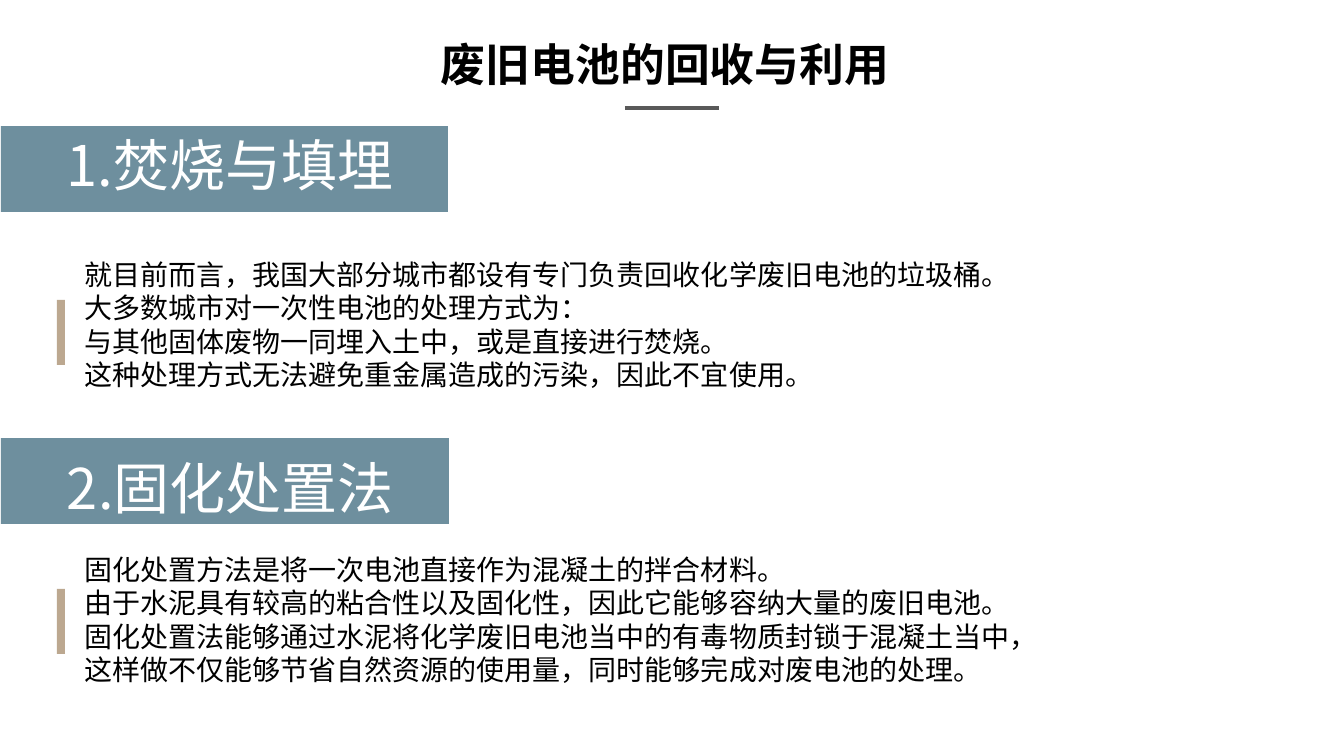
import pptx
import pptx.util
import pptx.dml.color
import pptx.enum.shapes
import pptx.enum.text
import pptx.oxml.ns
from dataclasses import dataclass
from lxml import etree

PX = 914400 / 100.8


@dataclass(frozen=True)
class Theme:
    band: str = "6E8F9E"
    bar: str = "BCA890"
    rule: str = "595959"
    ink: str = "000000"
    white: str = "FFFFFF"
    latin: str = "Arial"
    asian: str = "Noto Sans CJK SC"
    title: int = 32
    head: int = 40
    body: int = 20
    weight: float = 2.25


def px(*sizes):
    return [pptx.util.Emu(round(size * PX)) for size in sizes]


def tint(code):
    return pptx.dml.color.RGBColor.from_string(code)


def node(parent, tag):
    return etree.SubElement(parent, pptx.oxml.ns.qn(tag))


class Page:
    def __init__(self, slide, theme):
        self.slide = slide
        self.theme = theme

    def letter(self, shape, lines, size, color, font, bold=False, wrap=True, inset=(10, 5)):
        frame = shape.text_frame
        frame.word_wrap = wrap
        frame.auto_size = pptx.enum.text.MSO_AUTO_SIZE.SHAPE_TO_FIT_TEXT
        frame.vertical_anchor = pptx.enum.text.MSO_ANCHOR.TOP
        side, edge = px(*inset)
        frame.margin_left = frame.margin_right = side
        frame.margin_top = frame.margin_bottom = edge
        for index, line in enumerate(lines):
            para = frame.add_paragraph() if index else frame.paragraphs[0]
            props = para._p.get_or_add_pPr()
            props.set("marL", "0")
            props.set("indent", "0")
            node(props, "a:buNone")
            para.alignment = pptx.enum.text.PP_ALIGN.LEFT
            para.space_before = pptx.util.Pt(0)
            run = para.add_run()
            run.text = line
            run.font.size = pptx.util.Pt(size)
            run.font.bold = bold
            run.font.name = font
            run.font.color.rgb = tint(color)
            node(run._r.get_or_add_rPr(), "a:ea").set("typeface", self.theme.asian)

    def place(self, shape, box):
        shape.left, shape.top, shape.width, shape.height = px(*box)
        return shape

    def title(self, text, box):
        shape = self.place(self.slide.shapes.title, box)
        self.letter(shape, [text], self.theme.title, self.theme.ink,
                    self.theme.latin, bold=True, inset=(7, 4))

    def body(self, slot, lines, box):
        shape = self.place(self.slide.placeholders[slot], box)
        self.letter(shape, lines, self.theme.body, self.theme.ink,
                    self.theme.asian, wrap=False)

    def head(self, text, box):
        shape = self.slide.shapes.add_textbox(*px(*box))
        self.letter(shape, [text], self.theme.head, self.theme.white, self.theme.asian)

    def block(self, color, box):
        kind = pptx.enum.shapes.MSO_SHAPE.RECTANGLE
        shape = self.slide.shapes.add_shape(kind, *px(*box))
        shape.shadow.inherit = False
        shape.fill.solid()
        shape.fill.fore_color.rgb = tint(color)
        shape.line.fill.background()

    def rule(self, start, end):
        kind = pptx.enum.shapes.MSO_CONNECTOR.STRAIGHT
        line = self.slide.shapes.add_connector(kind, *px(*start, *end))
        line.line.color.rgb = tint(self.theme.rule)
        line.line.width = pptx.util.Pt(self.theme.weight)
        node(line._element.spPr, "a:effectLst")


PARTS = [
    dict(head="1.焚烧与填埋", band=(1, 126, 447, 86), label=(57, 125, 409, 78),
         bar=(57, 300, 8, 65), box=(74, 252, 954, 146), lines=[
             "就目前而言，我国大部分城市都设有专门负责回收化学废旧电池的垃圾桶。",
             "大多数城市对一次性电池的处理方式为：",
             "与其他固体废物一同埋入土中，或是直接进行焚烧。",
             "这种处理方式无法避免重金属造成的污染，因此不宜使用。"]),
    dict(head="2.固化处置法", band=(1, 438, 448, 86), label=(57, 448, 403, 78),
         bar=(57, 589, 8, 65), box=(74, 547, 982, 146), lines=[
             "固化处置方法是将一次电池直接作为混凝土的拌合材料。",
             "由于水泥具有较高的粘合性以及固化性，因此它能够容纳大量的废旧电池。",
             "固化处置法能够通过水泥将化学废旧电池当中的有毒物质封锁于混凝土当中，",
             "这样做不仅能够节省自然资源的使用量，同时能够完成对废电池的处理。"]),
]


def main():
    deck = pptx.Presentation()
    deck.slide_width, deck.slide_height = px(1344, 756)
    theme = Theme()
    page = Page(deck.slides.add_slide(deck.slide_layouts[3]), theme)
    page.title("废旧电池的回收与利用", (434, 33, 475, 61))
    page.rule((625, 108), (719, 108))
    for slot, part in enumerate(PARTS, 1):
        page.block(theme.band, part["band"])
        page.head(part["head"], part["label"])
        page.block(theme.bar, part["bar"])
        page.body(slot, part["lines"], part["box"])
    deck.save("out.pptx")


if __name__ == "__main__":
    main()
